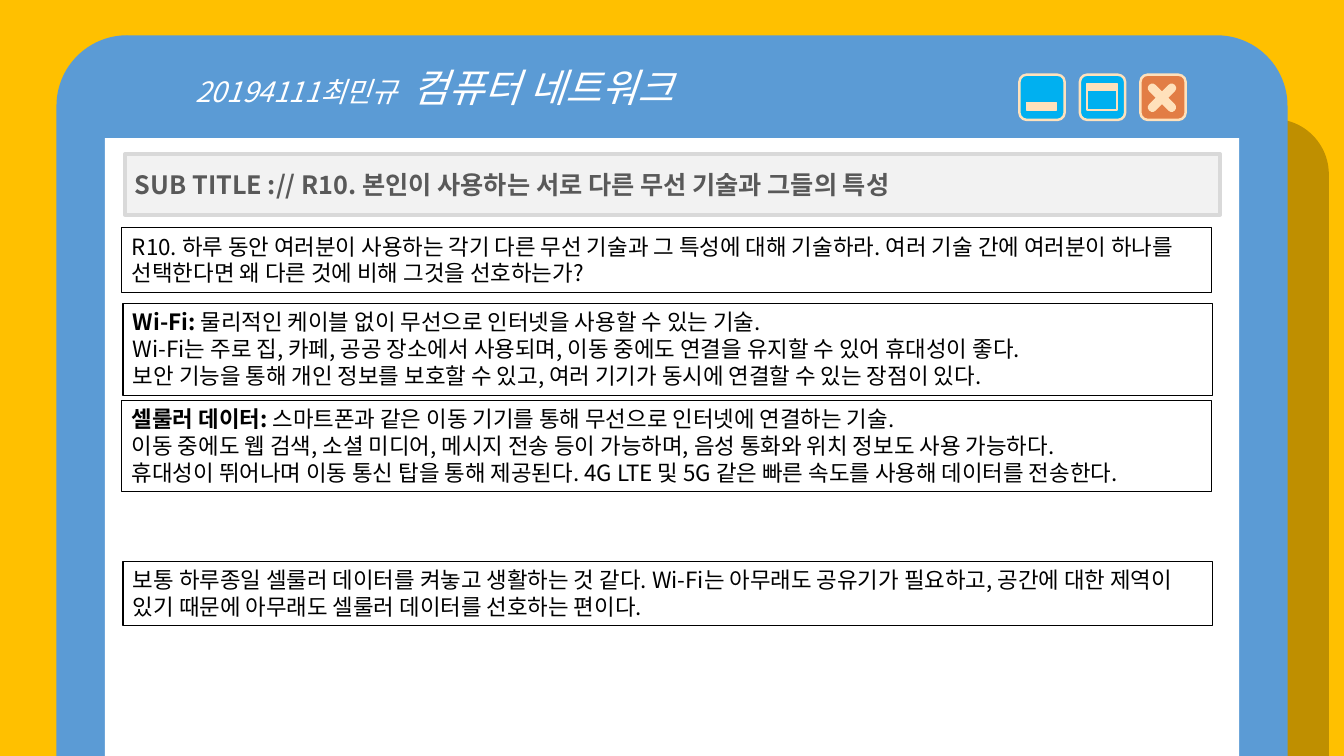
import pptx
import pptx.util
import pptx.dml.color
import pptx.enum.shapes
import pptx.enum.text
import pptx.oxml.ns
import lxml.etree
from dataclasses import dataclass

Inches = pptx.util.Inches
Pt = pptx.util.Pt
Shape = pptx.enum.shapes.MSO_SHAPE
Anchor = pptx.enum.text.MSO_ANCHOR

# Content: a paragraph is a list of (text, format) runs
SUBTITLE = [[("SUB TITLE :// R10. 본인이 사용하는 서로 다른 무선 기술과 그들의 특성", {})]]
QUESTION = [[("R10. 하루 동안 여러분이 사용하는 각기 다른 무선 기술과 그 특성에 대해 기술하라. "
              "여러 기술 간에 여러분이 하나를 선택한다면 왜 다른 것에 비해 그것을 선호하는가?", {})]]
WIFI = [
    [("Wi-Fi: ", {"bold": True}),
     ("물리적인 케이블 없이 무선으로 인터넷을 사용할 수 있는 기술.", {})],
    [("Wi-Fi는 주로 집, 카페, 공공 장소에서 사용되며, 이동 중에도 연결을 유지할 수 있어 휴대성이 좋다.", {})],
    [("보안 기능을 통해 개인 정보를 보호할 수 있고, 여러 기기가 동시에 연결할 수 있는 장점이 있다.", {})],
]
CELLULAR = [
    [("셀룰러 데이터: ", {"bold": True}),
     ("스마트폰과 같은 이동 기기를 통해 무선으로 인터넷에 연결하는 기술.", {})],
    [("이동 중에도 웹 검색, 소셜 미디어, 메시지 전송 등이 가능하며, 음성 통화와 위치 정보도 사용 가능하다.", {})],
    [("휴대성이 뛰어나며 이동 통신 탑을 통해 제공된다. 4G LTE 및 5G 같은 빠른 속도를 사용해 데이터를 전송한다.", {})],
]
CONCLUSION = [[("보통 하루종일 셀룰러 데이터를 켜놓고 생활하는 것 같다. Wi-Fi는 아무래도 공유기가 필요하고, "
                "공간에 대한 제역이 있기 때문에 아무래도 셀룰러 데이터를 선호하는 편이다.", {})]]
# left, top, height, paragraphs
NOTES = [
    (1.21, 2.26, 0.64, QUESTION),
    (1.22, 3.01, 0.91, WIFI),
    (1.21, 3.97, 0.91, CELLULAR),
    (1.22, 5.57, 0.64, CONCLUSION),
]
NOTE_WIDTH = 10.81


@dataclass(frozen=True)
class Theme:
    font: str = "Noto Sans CJK KR"
    background: str = "FFC000"
    window: str = "5B9BD5"
    white: str = "FFFFFF"
    black: str = "000000"
    cream: str = "FFE1BB"
    button: str = "00B0F0"
    close: str = "E27D45"
    bar: str = "F2F2F2"
    bar_line: str = "D9D9D9"
    bar_text: str = "595959"
    author_size: int = 20
    title_size: int = 28
    subtitle_size: int = 18
    body_size: int = 16


THEME = Theme()
TITLE = [[("20194111최민규 ", {"size": THEME.author_size}),
          (" 컴퓨터 네트워크", {"size": THEME.title_size})]]


def rgb(color):
    return pptx.dml.color.RGBColor.from_string(color)


def add_box(shapes, kind, left, top, width, height, fill, line=None,
            line_width=1, adjust=(), opacity=None, rotation=0):
    shape = shapes.add_shape(kind, Inches(left), Inches(top), Inches(width), Inches(height))
    shape.shadow.inherit = False
    shape.rotation = rotation
    for index, value in enumerate(adjust):
        shape.adjustments[index] = value
    shape.fill.solid()
    shape.fill.fore_color.rgb = rgb(fill)
    if opacity is not None:
        color = shape.fill._xPr.find(".//" + pptx.oxml.ns.qn("a:srgbClr"))
        alpha = lxml.etree.SubElement(color, pptx.oxml.ns.qn("a:alpha"))
        alpha.set("val", str(opacity * 1000))
    if line:
        shape.line.color.rgb = rgb(line)
        shape.line.width = Pt(line_width)
    else:
        shape.line.fill.background()
    return shape


def write_text(shape, paragraphs, anchor=Anchor.TOP, **defaults):
    frame = shape.text_frame
    frame.word_wrap = True
    frame.vertical_anchor = anchor
    for index, runs in enumerate(paragraphs):
        paragraph = frame.add_paragraph() if index else frame.paragraphs[0]
        paragraph.alignment = pptx.enum.text.PP_ALIGN.LEFT
        for text, changes in runs:
            style = {**defaults, **changes}
            run = paragraph.add_run()
            run.text = text
            run.font.name = THEME.font
            run.font.size = Pt(style["size"])
            run.font.color.rgb = rgb(style["color"])
            run.font.bold = style.get("bold", False)
            run.font.italic = style.get("italic", False)
            east_asian = lxml.etree.SubElement(run.font._element, pptx.oxml.ns.qn("a:ea"))
            east_asian.set("typeface", THEME.font)


def add_buttons(slide):
    shapes = slide.shapes.add_group_shape().shapes
    size, step, top = 0.45, 0.6, 0.74
    minimize, maximize, close = [10.11 + step * index for index in range(3)]
    for left, fill in ((close, THEME.close), (maximize, THEME.button), (minimize, THEME.button)):
        add_box(shapes, Shape.ROUNDED_RECTANGLE, left, top, size, size, fill, THEME.cream, 1.75)
    # Cross of the close button
    for rotation in (45, 315):
        add_box(shapes, Shape.ROUNDED_RECTANGLE, close + 0.17, top + 0.05, 0.09, 0.36,
                THEME.cream, adjust=[0.5], rotation=rotation)
    # Window and bar symbols
    for left, offset, height, fill in ((maximize, 0.16, 0.19, THEME.button),
                                       (maximize, 0.09, 0.07, THEME.cream),
                                       (minimize, 0.28, 0.07, THEME.cream)):
        add_box(shapes, Shape.ROUNDED_RECTANGLE, left + 0.07, top + offset, 0.3, height,
                fill, THEME.cream, 1, adjust=[0])


def main():
    presentation = pptx.Presentation()
    presentation.slide_width, presentation.slide_height = Inches(13.33), Inches(7.5)
    slide = presentation.slides.add_slide(presentation.slide_layouts[6])
    slide.background.fill.solid()
    slide.background.fill.fore_color.rgb = rgb(THEME.background)
    shapes = slide.shapes

    # Window with its shade and page
    add_box(shapes, Shape.ROUND_2_SAME_RECTANGLE, 10.33, 1.18, 2.85, 6.32,
            THEME.black, adjust=[0.193, 0], opacity=25)
    add_box(shapes, Shape.ROUND_2_SAME_RECTANGLE, 0.56, 0.35, 12.21, 7.15,
            THEME.window, adjust=[0.098, 0])
    add_box(shapes, Shape.RECTANGLE, 1.04, 1.37, 11.25, 6.13, THEME.white)
    add_buttons(slide)

    # Title and subtitle
    title = shapes.add_textbox(Inches(1.84), Inches(0.58), Inches(5.5), Inches(0.88))
    write_text(title, TITLE, color=THEME.white, italic=True)
    subtitle = add_box(shapes, Shape.RECTANGLE, 1.24, 1.53, 10.86, 0.6,
                       THEME.bar, THEME.bar_line, 3)
    write_text(subtitle, SUBTITLE, anchor=Anchor.MIDDLE, size=THEME.subtitle_size,
               color=THEME.bar_text, bold=True)

    # Framed notes
    for left, top, height, paragraphs in NOTES:
        note = add_box(shapes, Shape.RECTANGLE, left, top, NOTE_WIDTH, height,
                       THEME.white, THEME.black, 0.75, opacity=50)
        write_text(note, paragraphs, size=THEME.body_size, color=THEME.black)

    presentation.save("out.pptx")


if __name__ == "__main__":
    main()
